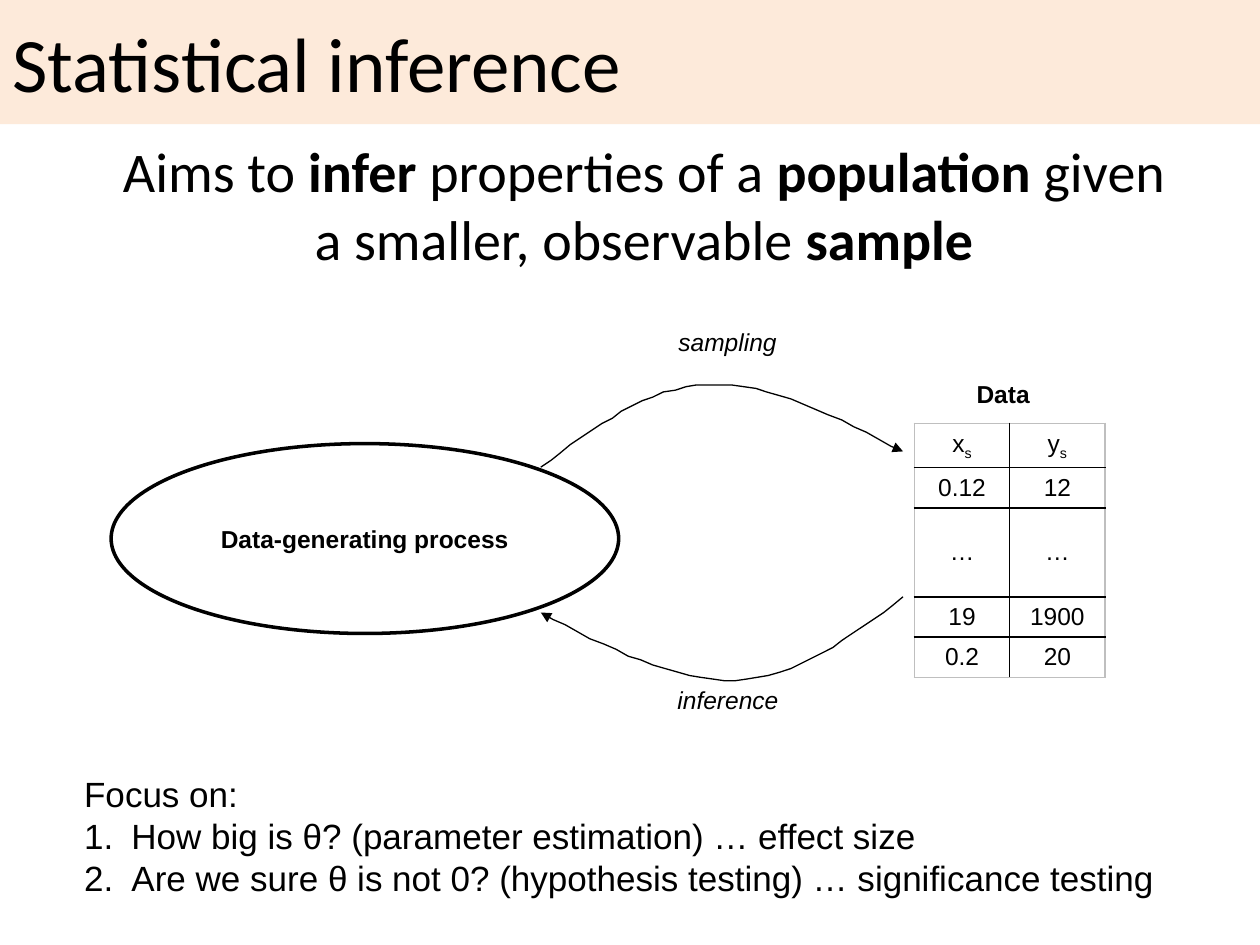
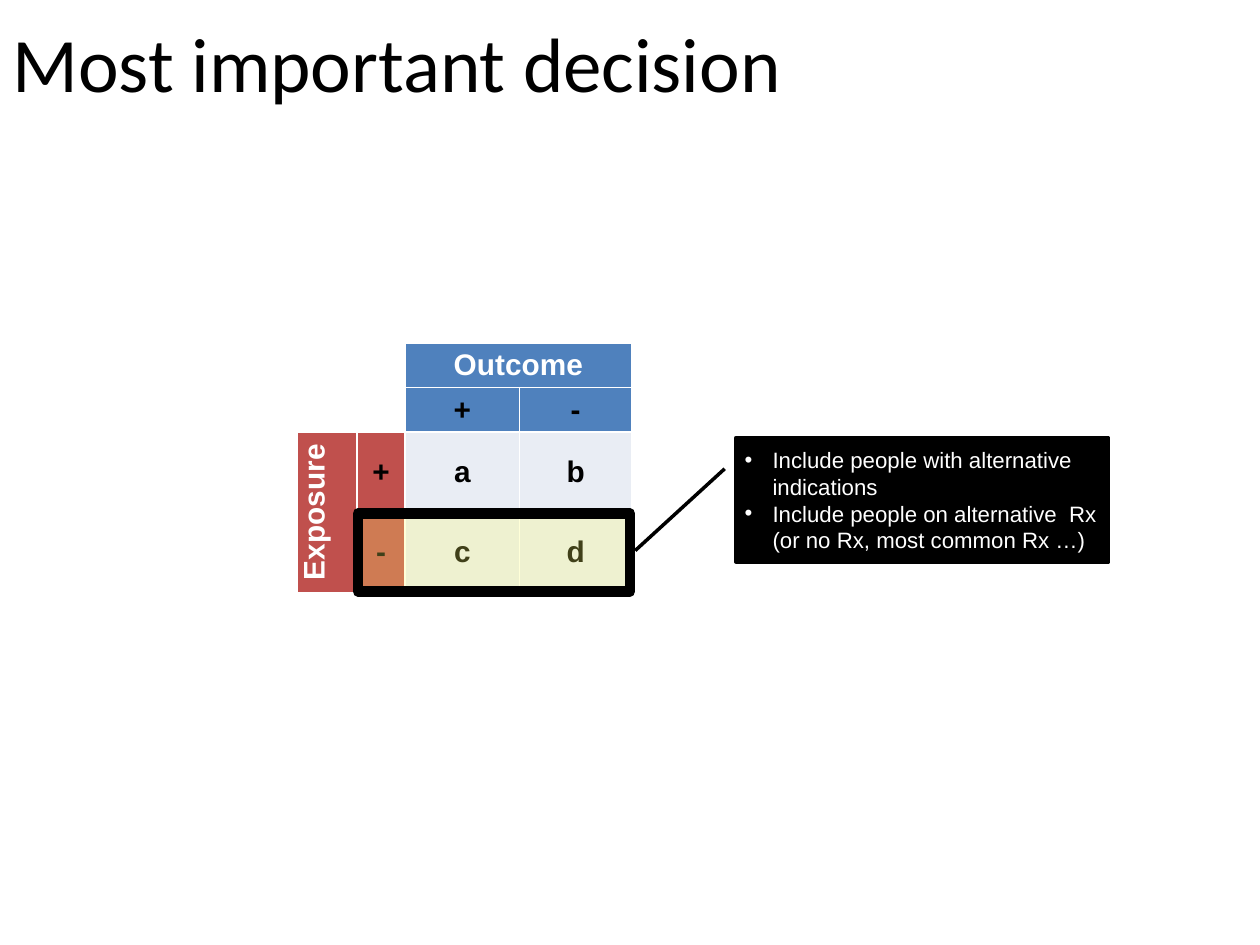
from pptx import Presentation
from pptx import util as u
from pptx.dml import color
from pptx.enum import shapes, text
from pptx.oxml import ns
from lxml import etree

BLACK, WHITE, GRAY = "000000", "FFFFFF", "BFBFBF"
BAND, BLUE, RED, PALE, YELLOW = "FDEADA", "4F81BD", "C0504D", "E9EDF4", "FFFF66"
CENTER, LEFT = text.PP_ALIGN.CENTER, text.PP_ALIGN.LEFT
MIDDLE, TOP = text.MSO_ANCHOR.MIDDLE, text.MSO_ANCHOR.TOP


# Basic helpers

def rgb(value):
    return color.RGBColor.from_string(value)


def points(*values):
    return [u.Pt(value) for value in values]


def sub(parent, tag, **attributes):
    element = etree.SubElement(parent, ns.qn(tag))
    for name, value in attributes.items():
        element.set(name, str(value))
    return element


def paint(shape, fill=None, line=None, weight=1):
    shape.shadow.inherit = False
    if fill:
        shape.fill.solid()
        shape.fill.fore_color.rgb = rgb(fill)
    else:
        shape.fill.background()
    if line:
        shape.line.color.rgb = rgb(line)
        shape.line.width = u.Pt(weight)
    else:
        shape.line.fill.background()


def style_text(frame, size, font="Arial", ink=BLACK, bold=False, italic=False, align=LEFT):
    for paragraph in frame.paragraphs:
        paragraph.alignment = align
        for run in paragraph.runs:
            run.font.size = u.Pt(size)
            run.font.name = font
            run.font.color.rgb = rgb(ink)
            run.font.bold = bold
            run.font.italic = italic


def set_frame(frame, anchor=TOP, insets=(7.2, 3.6), wrap=True):
    frame.word_wrap = wrap
    frame.auto_size = text.MSO_AUTO_SIZE.NONE
    frame.vertical_anchor = anchor
    frame.margin_left = frame.margin_right = u.Pt(insets[0])
    frame.margin_top = frame.margin_bottom = u.Pt(insets[1])


def set_list(paragraph, indent, numbered=False):
    properties = paragraph._p.get_or_add_pPr()
    properties.set("marL", str(u.Pt(indent)))
    properties.set("indent", str(-u.Pt(indent)))
    if numbered:
        sub(properties, "a:buFont", typeface="+mj-lt")
        sub(properties, "a:buAutoNum", type="arabicPeriod")
    else:
        sub(properties, "a:buFont", typeface="Arial")
        sub(properties, "a:buChar", char="•")


# Slide elements

def add_titled_slide(presentation, title, width, height, band=None):
    slide = presentation.slides.add_slide(presentation.slide_layouts[5])
    shape = slide.shapes.title
    shape.left, shape.top, shape.width, shape.height = points(0, 0, width, height)
    if band:
        shape.fill.solid()
        shape.fill.fore_color.rgb = rgb(band)
    shape.text_frame.text = title
    set_frame(shape.text_frame, insets=(7.2, 9))
    style_text(shape.text_frame, 44, "Calibri")
    return slide


def add_text(slide, box, content, size, wrap=True, insets=(7.2, 3.6), **style):
    frame = slide.shapes.add_textbox(*points(*box)).text_frame
    frame.text = content
    set_frame(frame, insets=insets, wrap=wrap)
    style_text(frame, size, **style)
    return frame


def add_shape(slide, kind, box, fill, weight):
    shape = slide.shapes.add_shape(kind, *points(*box))
    paint(shape, fill, BLACK, weight)
    return shape


def bezier(start, first, second, end, steps=16):
    """Points along a cubic curve, leaving out its start."""
    for step in range(1, steps + 1):
        t = step / steps
        s = 1 - t
        yield tuple(s**3 * a + 3 * s * s * t * b + 3 * s * t * t * c + t**3 * d
                    for a, b, c, d in zip(start, first, second, end))


def add_curved_arrow(slide, knots):
    curve = [*bezier(*knots[:4]), *bezier(*knots[3:])]
    builder = slide.shapes.build_freeform(*knots[0], scale=float(u.Pt(1)))
    builder.add_line_segments(curve, close=False)
    arrow = builder.convert_to_shape()
    paint(arrow, None, BLACK, 0.75)
    sub(arrow.line._get_or_add_ln(), "a:tailEnd", type="triangle")


def add_table(slide, left, top, columns, rows):
    frame = slide.shapes.add_table(
        len(rows), len(columns), *points(left, top, sum(columns), sum(rows)))
    table = frame.table
    table.first_row = table.horz_banding = False
    for column, width in zip(table.columns, columns):
        column.width = u.Pt(width)
    for row, height in zip(table.rows, rows):
        row.height = u.Pt(height)
    return table


def set_cell(cell, borders, fill=None, insets=(3.6, 3.6)):
    """Borders are colours in the order left, right, top, bottom."""
    properties = cell._tc.get_or_add_tcPr()
    for side, ink in zip("LRTB", borders):
        line = sub(properties, f"a:ln{side}", w=u.Pt(1))
        sub(sub(line, "a:solidFill"), "a:srgbClr", val=ink)
    if fill:
        cell.fill.solid()
        cell.fill.fore_color.rgb = rgb(fill)
    else:
        cell.fill.background()
    cell.vertical_anchor = MIDDLE
    cell.margin_left = cell.margin_right = u.Pt(insets[0])
    cell.margin_top = cell.margin_bottom = u.Pt(insets[1])


# Slide 1

def add_sample_table(slide):
    values = [("x", "y"), ("0.12", "12"), ("…", "…"), ("19", "1900"), ("0.2", "20")]
    table = add_table(slide, 522.5, 242, [54.5] * 2, [25, 23, 51, 23, 23])
    last = len(values) - 1
    for i, row in enumerate(values):
        for j, value in enumerate(row):
            cell = table.cell(i, j)
            outer = (j == 0, j == 1, i == 0, i == last)
            set_cell(cell, [GRAY if edge else BLACK for edge in outer])
            cell.text = value
            if i == 0:
                subscript = cell.text_frame.paragraphs[0].add_run()
                subscript.text = "s"
                subscript._r.get_or_add_rPr().set("baseline", "-25000")
            style_text(cell.text_frame, 14, align=CENTER)


def build_inference(presentation):
    slide = add_titled_slide(presentation, "Statistical inference", 720, 71, BAND)

    # Aim, with key words in bold
    aim = add_text(slide, (36, 71, 648, 78), "", 32, insets=(7.2, 7.2))
    paragraph = aim.paragraphs[0]
    paragraph._p.get_or_add_pPr().set("marL", str(u.Pt(16)))
    pieces = ["Aims to ", "infer", " properties of a ", "population",
              " given a smaller, observable ", "sample"]
    for piece in pieces:
        paragraph.add_run().text = piece
    style_text(aim, 32, "Calibri", align=CENTER)
    for run in paragraph.runs[1::2]:
        run.font.bold = True

    # Process and data
    process = add_shape(slide, shapes.MSO_SHAPE.OVAL, (63.5, 253.5, 290, 108.5), WHITE, 2)
    process.text_frame.text = "Data-generating process"
    set_frame(process.text_frame, MIDDLE)
    style_text(process.text_frame, 14, bold=True, align=CENTER)
    add_sample_table(slide)
    add_text(slide, (548, 213, 50.5, 29), "Data", 14, wrap=False, bold=True, align=CENTER)

    # Arrows: inference is sampling turned by half a circle
    sampling = [(308.9, 267.1), (339.8, 244.1), (370.1, 221), (404.6, 219.6),
                (439.9, 218.2), (478.1, 238.3), (516.2, 258.5)]
    add_curved_arrow(slide, sampling)
    add_curved_arrow(slide, [(825.1 - x, 608.4 - y) for x, y in sampling])
    for label, box in [("sampling", (380, 183.6, 71.5, 24.5)),
                       ("inference", (372.5, 388, 87, 29))]:
        add_text(slide, box, label, 14, wrap=False, italic=True, align=CENTER)

    # Questions
    focus = add_text(
        slide, (41, 437.8, 635, 80),
        "Focus on:\n"
        "How big is θ? (parameter estimation) … effect size\n"
        "Are we sure θ is not 0? (hypothesis testing) … significance testing", 20)
    for question in focus.paragraphs[1:]:
        set_list(question, 27, numbered=True)


# Slide 2

def add_exposure_table(slide):
    values = [("", "", "Outcome", ""), ("", "", "+", "-"),
              ("Exposure", "+", "a", "b"), ("", "-", "c", "d")]
    table = add_table(slide, 170, 196.2, [34, 27.5, 65.5, 64], [25.3, 25.3, 46, 46])
    for i, row in enumerate(values):
        for j, value in enumerate(row):
            cell = table.cell(i, j)
            if i < 2:
                fill = BLUE if j > 1 else None
            else:
                fill = PALE if j > 1 else RED
            set_cell(cell, [WHITE] * 4, fill, (5, 0))
            cell.text = value
            ink = WHITE if len(value) > 1 else BLACK
            style_text(cell.text_frame, 17, ink=ink, bold=True, align=CENTER)
    table.cell(0, 2).merge(table.cell(0, 3))
    exposure = table.cell(2, 0)
    exposure.merge(table.cell(3, 0))
    exposure._tc.get_or_add_tcPr().set("vert", "vert270")


def build_decision(presentation):
    slide = add_titled_slide(presentation, "Most important decision", 684, 90)
    add_exposure_table(slide)

    # Highlight on the unexposed row
    highlight = add_shape(slide, shapes.MSO_SHAPE.RECTANGLE, (204.5, 293.5, 155.5, 44.5), YELLOW, 6)
    fill_color = highlight._element.spPr.find(ns.qn("a:solidFill"))[0]
    sub(fill_color, "a:alpha", val=25000)

    # Callout
    callout = add_shape(slide, shapes.MSO_SHAPE.LINE_CALLOUT_1, (420.5, 250.2, 213, 70.8), BLACK, 2)
    for index, value in enumerate([0.25, -0.03, 0.91, -0.27]):
        callout.adjustments[index] = value
    frame = callout.text_frame
    frame.text = ("Include people with alternative indications\n"
                  "Include people on alternative  Rx (or no Rx, most common Rx …)")
    set_frame(frame, MIDDLE, (5, 3))
    for paragraph in frame.paragraphs:
        set_list(paragraph, 16)
    style_text(frame, 12.7, ink=WHITE)


def main():
    presentation = Presentation()
    presentation.slide_width, presentation.slide_height = points(720, 540)
    build_inference(presentation)
    build_decision(presentation)
    presentation.save("out.pptx")


if __name__ == "__main__":
    main()
